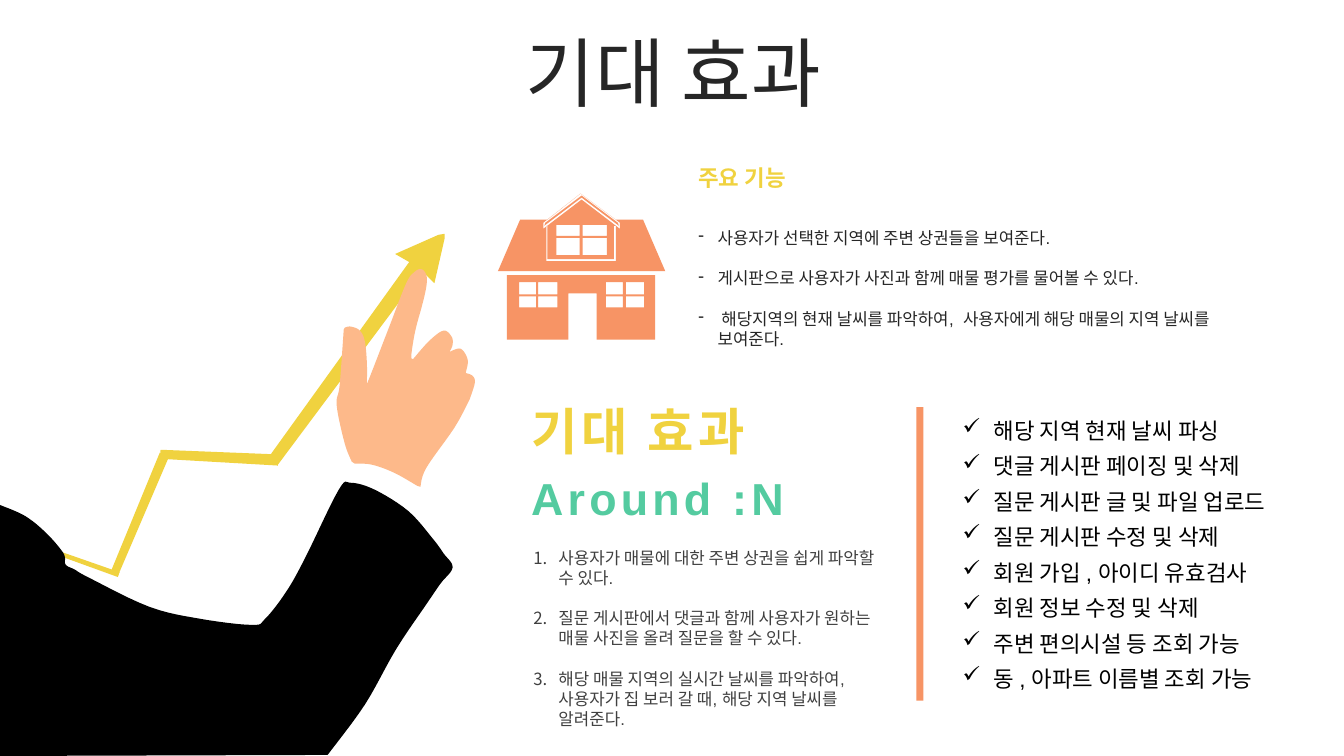
import pptx
import pptx.util
from lxml import etree
from pptx.dml.color import RGBColor
from pptx.enum.shapes import MSO_SHAPE
from pptx.enum.text import MSO_ANCHOR, MSO_AUTO_SIZE, PP_ALIGN
from pptx.oxml.ns import qn

YELLOW = RGBColor(0xF0, 0xD2, 0x3F)
ORANGE = RGBColor(0xF7, 0x94, 0x65)
GREEN = RGBColor(0x54, 0xCB, 0xA0)
SKIN = RGBColor(0xFD, 0xB9, 0x8A)
BLACK = RGBColor(0x00, 0x00, 0x00)
INK = RGBColor(0x26, 0x26, 0x26)
GREY = RGBColor(0x40, 0x40, 0x40)

LATIN, HANGUL = "Arial", "Noto Sans CJK KR"
SLIDE_W, SLIDE_H = pptx.util.Inches(13.333), pptx.util.Inches(7.5)

# Boxes: left, top, width, height in percent of the slide
TITLE_BOX = (2.62, 4.93, 94.95, 10.53)
FEATURE_HEADING_BOX = (51.23, 21.07, 43.58, 4.93)
FEATURE_BOX = (51.23, 29.47, 43.58, 17.47)
EFFECT_HEADING_BOX = (38.78, 52.27, 27.3, 9.33)
SERVICE_BOX = (38.78, 61.6, 27.3, 8.53)
EFFECT_BOX = (38.78, 71.73, 28.58, 25.6)
DIVIDER_BOX = (68.18, 53.87, 0.53, 38.8)
CHECK_LEFT, CHECK_TOP, CHECK_W, CHECK_H = 70.88, 55.2, 26.93, 4.27
CHECK_PITCH = 4.69

FEATURES = [
    "사용자가 선택한 지역에 주변 상권들을 보여준다.",
    "게시판으로 사용자가 사진과 함께 매물 평가를 물어볼 수 있다.",
    " 해당지역의 현재 날씨를 파악하여,  사용자에게 해당 매물의 지역 날씨를 보여준다.",
]
EFFECTS = [
    "사용자가 매물에 대한 주변 상권을 쉽게 파악할 수 있다.",
    "질문 게시판에서 댓글과 함께 사용자가 원하는 매물 사진을 올려 질문을 할 수 있다.",
    "해당 매물 지역의 실시간 날씨를 파악하여,  사용자가 집 보러 갈 때, 해당 지역 날씨를 알려준다.",
]
CHECKS = [
    "해당 지역 현재 날씨 파싱", "댓글 게시판 페이징 및 삭제",
    "질문 게시판 글 및 파일 업로드", "질문 게시판 수정 및 삭제",
    "회원 가입 , 아이디 유효검사", "회원 정보 수정 및 삭제",
    "주변 편의시설 등 조회 가능", "동 , 아파트 이름별 조회 가능",
]

# Trend line segments: box in percent, then rotation
TREND = [
    ((15.9, 52.67, 0.83, 15.6), 272.8), ((9.98, 59.47, 0.75, 17.2), 202.8),
    ((5.78, 68.8, 0.38, 10.8), 289.6), ((2.63, 72.4, 0.6, 2.27), 206.2),
]

# Outlines in inches
ARROW = [(3.92, 2.52), (4.35, 2.33), (4.41, 2.32), (4.41, 2.37), (4.31, 2.81),
         (4.19, 2.69), (2.75, 4.62), (2.67, 4.53), (4.06, 2.6)]
# Arm and hand are runs of smooth curve that meet at sharp corners
ARM = [
    [(0, 7.5), (0, 5.01)],
    [(0, 5.01), (0.25, 5.12), (0.46, 5.29), (0.63, 5.49), (0.65, 5.6),
     (0.74, 5.65), (0.88, 5.73), (1.48, 6.02), (1.99, 6.14), (2.5, 6.2),
     (2.63, 6.14), (2.84, 5.87), (3.03, 5.53), (3.36, 4.86), (3.48, 4.79),
     (3.72, 4.86), (4.05, 5.07), (4.29, 5.34), (4.4, 5.49), (4.49, 5.63),
     (4.37, 5.79), (4.24, 5.98), (3.93, 6.44), (3.62, 6.99), (3.25, 7.49)],
]
HAND = [
    [(4.66, 3.96), (4.51, 4.24), (4.23, 4.64), (4.17, 4.83)],
    [(4.14, 4.82), (3.91, 4.69), (3.69, 4.61), (3.52, 4.6)],
    [(3.49, 4.58), (3.42, 4.4), (3.34, 4.02), (3.37, 3.82), (3.41, 3.27)],
    [(3.42, 3.25), (3.48, 3.24), (3.57, 3.28), (3.62, 3.39), (3.64, 3.61), (3.64, 3.81)],
    [(3.64, 3.81), (3.7, 3.66), (3.87, 3.22), (4.03, 2.81), (4.11, 2.7),
     (4.18, 2.67), (4.23, 2.73), (4.23, 2.84), (4.19, 3.02), (4.12, 3.28),
     (4.08, 3.53), (4.1, 3.56)],
    [(4.1, 3.56), (4.26, 3.38), (4.4, 3.28), (4.48, 3.34), (4.49, 3.42), (4.46, 3.49)],
    [(4.46, 3.49), (4.57, 3.46), (4.64, 3.57), (4.62, 3.7)],
    [(4.62, 3.7), (4.69, 3.73), (4.71, 3.8), (4.66, 3.96)],
]
ROOF = [(5.76, 1.92), (6.11, 2.18), (6.38, 2.18), (6.6, 2.69),
        (4.94, 2.69), (5.16, 2.18), (5.43, 2.18)]
WALL = [(5.03, 2.73), (6.5, 2.73), (6.5, 3.37), (5.92, 3.37),
        (5.92, 2.91), (5.64, 2.91), (5.64, 3.37), (5.03, 3.37)]
DORMER = [(6.09, 2.24), (6.09, 2.57), (5.43, 2.57), (5.43, 2.24),
          (5.42, 2.24), (5.42, 2.59), (6.11, 2.59), (6.11, 2.24)]
GABLE = [(5.76, 1.92), (5.39, 2.21), (5.39, 2.27), (5.77, 1.98), (6.15, 2.27), (6.15, 2.21)]
GABLE_LINE = [(5.77, 1.94), (6.13, 2.21), (6.14, 2.24), (5.77, 1.96), (5.4, 2.24), (5.41, 2.21)]


def place(box):
    left, top, width, height = box
    return (round(SLIDE_W * left / 100), round(SLIDE_H * top / 100),
            round(SLIDE_W * width / 100), round(SLIDE_H * height / 100))


def paint(shape, colour):
    shape.fill.solid()
    shape.fill.fore_color.rgb = colour
    shape.line.fill.background()
    shape.shadow.inherit = False


def add_block(slide, preset, box, colour):
    block = slide.shapes.add_shape(preset, *place(box))
    paint(block, colour)
    return block


def add_outline(slide, contours, colour):
    """Fill closed contours; a contour inside another cuts a hole."""
    scaled = [[(pptx.util.Inches(x), pptx.util.Inches(y)) for x, y in c] for c in contours]
    builder = slide.shapes.build_freeform(*scaled[0][0])
    for index, contour in enumerate(scaled):
        if index:
            builder.move_to(*contour[0])
        builder.add_line_segments(contour[1:], close=True)
    paint(builder.convert_to_shape(), colour)


def smooth(anchors, steps=6):
    """Points of a Catmull-Rom curve through the anchors."""
    padded = [anchors[0], *anchors, anchors[-1]]
    points = [anchors[0]]
    for a, b, c, d in zip(padded, padded[1:], padded[2:], padded[3:]):
        for t in (step / steps for step in range(1, steps + 1)):
            points.append(tuple(
                q + t / 2 * (r - p + t * (2 * p - 5 * q + 4 * r - s + t * (3 * (q - r) + s - p)))
                for p, q, r, s in zip(a, b, c, d)))
    return points


def panes(columns, rows):
    return [[(l, t), (r, t), (r, b), (l, b)] for l, r in columns for t, b in rows]


def format_text(paragraph, size, colour, bold=False, latin=LATIN, tracking=0):
    for run in paragraph.runs:
        run.font.size = pptx.util.Pt(size)
        run.font.bold = bold
        run.font.name = latin
        run.font.color.rgb = colour
        properties = run.font._element
        etree.SubElement(properties, qn("a:ea")).set("typeface", HANGUL)
        if tracking:
            properties.set("spc", str(tracking * 100))


def set_bullet(paragraph, bullet, indent):
    properties = paragraph._p.get_or_add_pPr()
    properties.set("marL", str(pptx.util.Inches(indent)))
    properties.set("indent", str(-pptx.util.Inches(indent)))
    if bullet == "1.":
        etree.SubElement(properties, qn("a:buFont")).set("typeface", LATIN)
        etree.SubElement(properties, qn("a:buAutoNum")).set("type", "arabicPeriod")
    else:
        etree.SubElement(properties, qn("a:buChar")).set("char", bullet)


def add_text(slide, box, lines, size, colour, bullet=None, indent=0, gap=0,
             spacing=None, align=None, inset=0.1, **style):
    frame = slide.shapes.add_textbox(*place(box)).text_frame
    frame.word_wrap = True
    frame.margin_left = frame.margin_right = pptx.util.Inches(inset)
    frame.text = "\n".join(lines)
    for index, paragraph in enumerate(frame.paragraphs):
        paragraph.alignment = align
        if spacing:
            paragraph.line_spacing = spacing
        if index and gap:
            paragraph.space_before = pptx.util.Pt(gap)
        if bullet:
            set_bullet(paragraph, bullet, indent)
        format_text(paragraph, size, colour, **style)
    return frame


def add_title(slide, words):
    title = slide.shapes.title
    title.left, title.top, title.width, title.height = place(TITLE_BOX)
    frame = title.text_frame
    frame.text = words
    frame.auto_size = MSO_AUTO_SIZE.NONE
    frame.vertical_anchor = MSO_ANCHOR.MIDDLE
    heading = frame.paragraphs[0]
    heading.alignment = PP_ALIGN.CENTER
    heading.line_spacing = 0.9
    heading.space_before = pptx.util.Pt(10)
    format_text(heading, 54, INK, latin=HANGUL)


def main():
    deck = pptx.Presentation()
    deck.slide_width, deck.slide_height = SLIDE_W, SLIDE_H
    slide = deck.slides.add_slide(deck.slide_layouts[5])
    add_title(slide, "기대 효과")

    # Rising arrow, then the arm and hand in front of it
    add_outline(slide, [ARROW], YELLOW)
    for box, angle in TREND:
        segment = add_block(slide, MSO_SHAPE.TRAPEZOID, box, YELLOW)
        segment.adjustments[0] = 0.095
        segment.rotation = angle
    for runs, colour in ((ARM, BLACK), (HAND, SKIN)):
        add_outline(slide, [[point for run in runs for point in smooth(run)]], colour)

    # House
    wall_panes = panes([(5.15, 5.32), (5.34, 5.53), (6.01, 6.18), (6.21, 6.39)],
                       [(2.8, 2.92), (2.94, 3.05)])
    dormer_panes = panes([(5.52, 5.75), (5.78, 6.02)], [(2.23, 2.34), (2.36, 2.53)])
    add_outline(slide, [ROOF, WALL, DORMER, GABLE, GABLE_LINE, *wall_panes, *dormer_panes], ORANGE)

    # Main features
    add_text(slide, FEATURE_HEADING_BOX, ["주요 기능"], 16, YELLOW, bold=True)
    add_text(slide, FEATURE_BOX, FEATURES, 12, INK, bullet="-", indent=0.19, gap=14.4)

    # Expected effects
    heading = add_text(slide, EFFECT_HEADING_BOX, ["기대 효과"], 36, YELLOW,
                       align=PP_ALIGN.JUSTIFY, bold=True, tracking=3)
    heading.vertical_anchor = MSO_ANCHOR.MIDDLE
    add_text(slide, SERVICE_BOX, ["Around :N"], 32, GREEN,
             align=PP_ALIGN.JUSTIFY, bold=True, tracking=3)
    add_text(slide, EFFECT_BOX, EFFECTS, 12, GREY, bullet="1.", indent=0.25, gap=14.4, inset=0.12)

    # Checklist
    add_block(slide, MSO_SHAPE.RECTANGLE, DIVIDER_BOX, ORANGE)
    for row, check in enumerate(CHECKS):
        box = (CHECK_LEFT, CHECK_TOP + row * CHECK_PITCH, CHECK_W, CHECK_H)
        add_text(slide, box, [check], 16, BLACK, bullet="✓", indent=0.31, spacing=0.8)

    deck.save("out.pptx")


if __name__ == "__main__":
    main()
